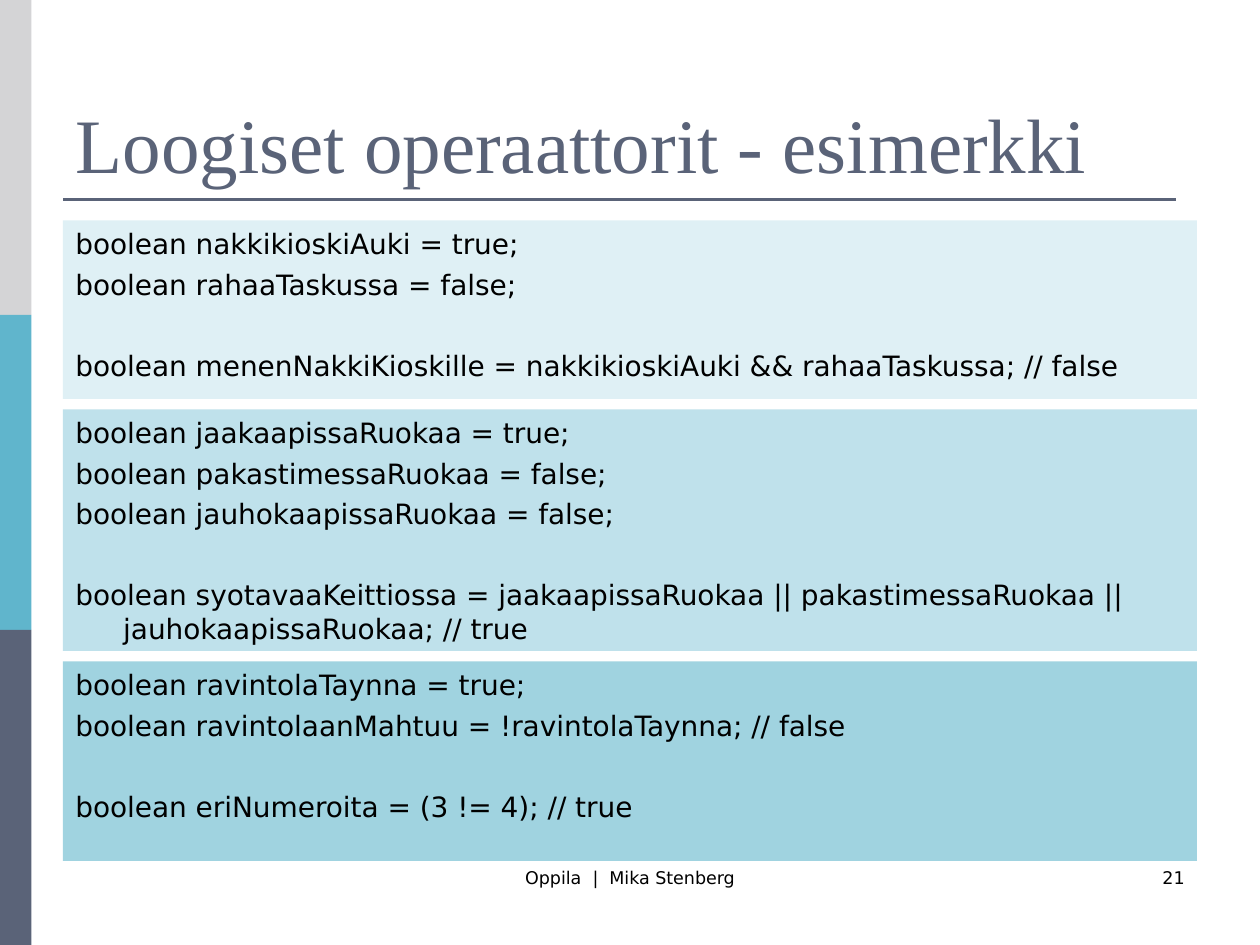
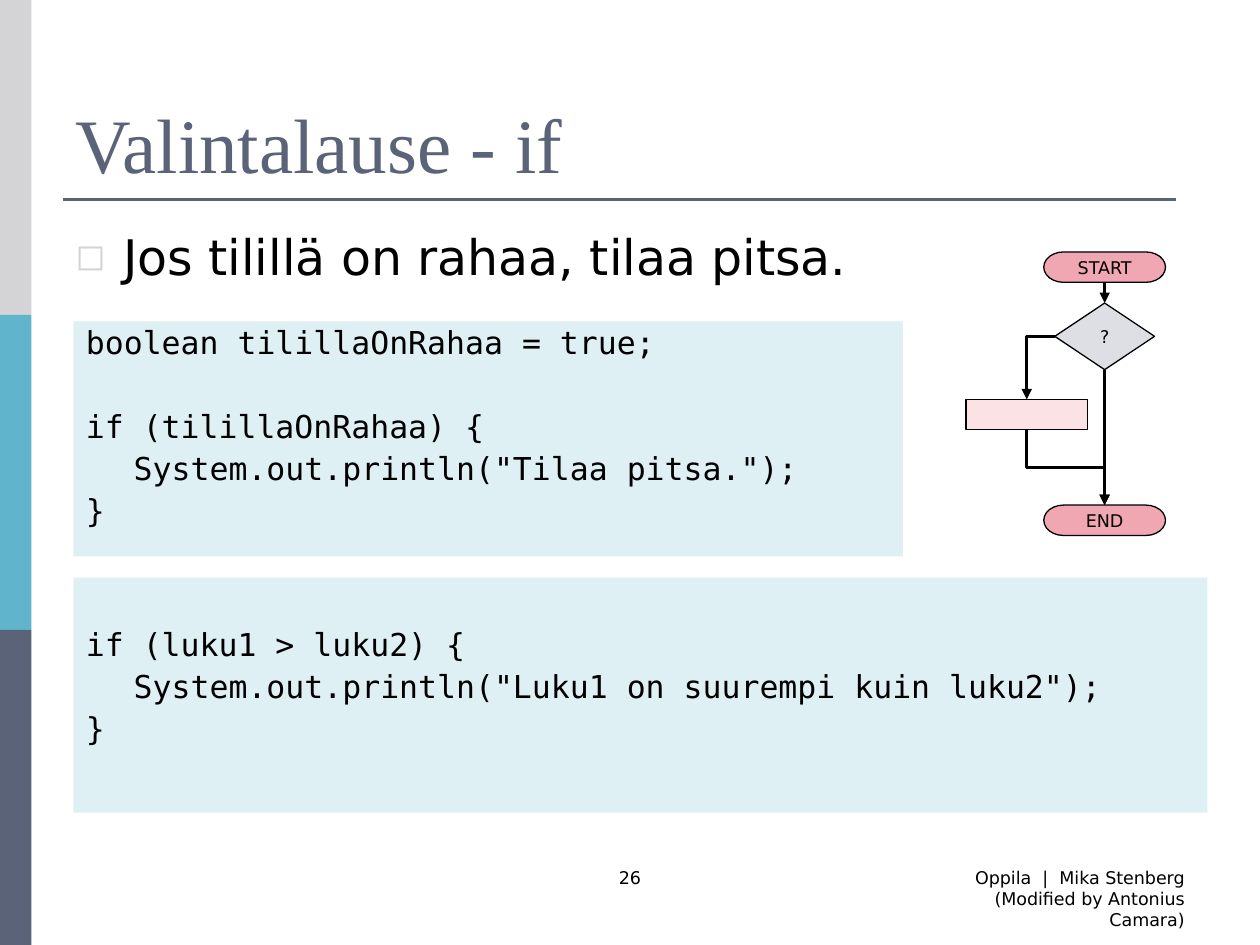
from lxml import etree
from pptx import Presentation
from pptx.dml.color import RGBColor
from pptx.enum.shapes import MSO_CONNECTOR, MSO_SHAPE
from pptx.enum.text import MSO_ANCHOR, PP_ALIGN
from pptx.oxml.ns import qn
from pptx.util import Emu, Inches, Pt

GREY = RGBColor(0xD4, 0xD4, 0xD6)
TEAL = RGBColor(0x60, 0xB5, 0xCC)
SLATE = RGBColor(0x5A, 0x63, 0x78)
BLACK = RGBColor(0x00, 0x00, 0x00)
PALE_TEAL = RGBColor(0xDF, 0xF0, 0xF5)
LIGHT_TEAL = RGBColor(0xBF, 0xE1, 0xEB)
SOFT_TEAL = RGBColor(0xA0, 0xD3, 0xE0)
PINK = RGBColor(0xF0, 0xA7, 0xB1)
PALE_PINK = RGBColor(0xFA, 0xE2, 0xE5)
PALE_SLATE = RGBColor(0xDD, 0xDF, 0xE5)

SANS, MONO, SERIF = "DejaVu Sans", "DejaVu Sans Mono", "Times New Roman"
LEFT, CENTER, RIGHT = PP_ALIGN.LEFT, PP_ALIGN.CENTER, PP_ALIGN.RIGHT
TOP, MIDDLE, BOTTOM = MSO_ANCHOR.TOP, MSO_ANCHOR.MIDDLE, MSO_ANCHOR.BOTTOM
RECTANGLE = MSO_SHAPE.RECTANGLE
TERMINATOR = MSO_SHAPE.FLOWCHART_TERMINATOR
PROCESS = MSO_SHAPE.FLOWCHART_PROCESS
DECISION = MSO_SHAPE.FLOWCHART_DECISION
STRAIGHT, ELBOW = MSO_CONNECTOR.STRAIGHT, MSO_CONNECTOR.ELBOW
SITE_TOP, SITE_BOTTOM = 0, 2

COLUMNS, ROWS = 120, 90
CELL = Inches(10) / COLUMNS
HANGING = Inches(0.38)
CENTER_FOOTER = (41, 82, 38, 6)
RIGHT_FOOTER = (86, 82, 28, 6)
AUTHOR = "Oppila  |  Mika Stenberg"


def grid(*cells):
    """Turn grid columns or rows into lengths."""
    return [Emu(round(cell * CELL)) for cell in cells]


def prepare_frame(shape, anchor=TOP, inset_top=0.05):
    frame = shape.text_frame
    frame.word_wrap = True
    frame.vertical_anchor = anchor
    frame.margin_left = frame.margin_right = Inches(0.1)
    frame.margin_top, frame.margin_bottom = Inches(inset_top), Inches(0.05)
    return frame


def write(paragraph, text, size=10, font=SANS, color=BLACK, align=LEFT,
          before=0, spacing=None, margin=0, indent=0):
    run = paragraph.add_run()
    run.text = text
    run.font.size, run.font.name = Pt(size), font
    run.font.color.rgb = color
    paragraph.alignment = align
    paragraph.space_before = Pt(before)
    if spacing:
        paragraph.line_spacing = spacing
    properties = paragraph._p.get_or_add_pPr()
    properties.set("marL", str(margin))
    properties.set("indent", str(indent))


def add_filled(slide, kind, box, fill, outline=None):
    shape = slide.shapes.add_shape(kind, *box)
    shape.shadow.inherit = False
    shape.fill.solid()
    shape.fill.fore_color.rgb = fill
    if outline is None:
        shape.line.fill.background()
    else:
        shape.line.color.rgb = outline
        shape.line.width = Pt(0.75)
    return shape


def add_line(slide, kind, start, end, color=BLACK, arrow=False):
    connector = slide.shapes.add_connector(kind, *start, *end)
    connector.line.color.rgb = color
    connector.line.width = Pt(1.5)
    properties = connector.element.spPr
    if arrow:
        line = properties.find(qn("a:ln"))
        etree.SubElement(line, qn("a:tailEnd"), type="triangle")
    etree.SubElement(properties, qn("a:effectLst"))
    return connector


def add_text_box(slide, box, text, **text_format):
    shape = slide.shapes.add_textbox(*grid(*box))
    paragraph = prepare_frame(shape).paragraphs[0]
    write(paragraph, text, **text_format)
    return paragraph


def add_base_slide(presentation, title):
    """Add a slide with the side bands, the title and its rule."""
    slide = presentation.slides.add_slide(presentation.slide_layouts[5])
    band_height = ROWS / 3
    for index, color in enumerate((GREY, TEAL, SLATE)):
        add_filled(slide, RECTANGLE,
                   grid(0, index * band_height, 3, band_height), color)
    add_line(slide, STRAIGHT, grid(6, 19), grid(112, 19), SLATE)
    shape = slide.shapes.title
    shape.left, shape.top, shape.width, shape.height = grid(6, 3.6, 108, 15)
    paragraph = prepare_frame(shape, BOTTOM).paragraphs[0]
    write(paragraph, title, size=44, font=SERIF, color=SLATE)
    return slide


def add_code_panel(slide, box, fill, blocks, gap, before, inset_top=0.05,
                   **text_format):
    """Write blocks of code lines, with a gap in points between blocks.

    A line that starts with a tab is indented by one level.
    """
    panel = add_filled(slide, RECTANGLE, grid(*box), fill)
    frame = prepare_frame(panel, inset_top=inset_top)
    paragraph = frame.paragraphs[0]
    for block_index, block in enumerate(blocks):
        for line_index, line in enumerate(block):
            starts_block = block_index > 0 and line_index == 0
            if block_index or line_index:
                paragraph = frame.add_paragraph()
            write(paragraph, line.lstrip("\t"), margin=HANGING,
                  indent=0 if line.startswith("\t") else -HANGING,
                  before=before + gap * starts_block, **text_format)


def add_bullet(slide, box, text):
    paragraph = add_text_box(slide, box, text, size=28, before=7,
                             margin=HANGING, indent=-HANGING)
    properties = paragraph._p.get_or_add_pPr()
    bullet_color = etree.SubElement(properties, qn("a:buClr"))
    etree.SubElement(bullet_color, qn("a:srgbClr"), val=str(GREY))
    etree.SubElement(properties, qn("a:buSzPct"), val="75000")
    etree.SubElement(properties, qn("a:buFont"), typeface=SANS)
    etree.SubElement(properties, qn("a:buChar"), char="◻")


def bottom_middle(shape):
    return shape.left + shape.width // 2, shape.top + shape.height


def top_middle(shape):
    return shape.left + shape.width // 2, shape.top


def join_down(slide, upper, lower):
    connector = add_line(slide, STRAIGHT, bottom_middle(upper),
                         top_middle(lower), arrow=True)
    connector.begin_connect(upper, SITE_BOTTOM)
    connector.end_connect(lower, SITE_TOP)


def add_corner_arrow(slide, start, end):
    """Draw an arrow that runs sideways, then down."""
    connector = add_line(slide, ELBOW, start, end, arrow=True)
    geometry = connector.element.spPr.find(qn("a:prstGeom"))
    geometry.set("prst", "bentConnector2")


def add_step_arrow(slide, start, end):
    """Draw an arrow that runs down, sideways to the right, then down."""
    connector = add_line(slide, ELBOW, start, end, arrow=True)
    across, down = end[0] - start[0], end[1] - start[1]
    connector.left = Emu((start[0] + end[0] - down) // 2)
    connector.top = Emu((start[1] + end[1] - across) // 2)
    connector.width, connector.height = Emu(down), Emu(across)
    transform = connector.element.spPr.find(qn("a:xfrm"))
    transform.set("rot", str(270 * 60000))
    transform.set("flipH", "1")


def add_flowchart(slide, box):
    left, top, width, height = grid(*box)
    node_width, node_height = 0.61, 0.107
    main_axis = 1 - node_width / 2

    def add_node(kind, axis, node_top, fill, text="",
                 share_width=node_width, share_height=node_height):
        node_box = (left + round((axis - share_width / 2) * width),
                    top + round(node_top * height),
                    round(share_width * width), round(share_height * height))
        node = add_filled(slide, kind, node_box, fill, BLACK)
        if text:
            write(prepare_frame(node, MIDDLE).paragraphs[0], text,
                  align=CENTER)
        return node

    start = add_node(TERMINATOR, main_axis, 0, PINK, "START")
    end = add_node(TERMINATOR, main_axis, 1 - node_height, PINK, "END")
    action = add_node(PROCESS, node_width / 2, 0.52, PALE_PINK)
    question = add_node(DECISION, main_axis, 0.18, PALE_SLATE, "?", 0.5, 0.235)
    join_down(slide, start, question)
    join_down(slide, question, end)
    question_left = question.left, question.top + question.height // 2
    add_corner_arrow(slide, question_left, top_middle(action))
    add_step_arrow(slide, bottom_middle(action), top_middle(end))


def build_operators_slide(presentation):
    slide = add_base_slide(presentation, "Loogiset operaattorit - esimerkki")
    add_text_box(slide, CENTER_FOOTER, AUTHOR, align=CENTER)
    add_text_box(slide, RIGHT_FOOTER, "21", align=RIGHT)
    panels = [
        (17, PALE_TEAL, [
            ["boolean nakkikioskiAuki = true;",
             "boolean rahaaTaskussa = false;"],
            ["boolean menenNakkiKioskille = nakkikioskiAuki && "
             "rahaaTaskussa; // false"]]),
        (23, LIGHT_TEAL, [
            ["boolean jaakaapissaRuokaa = true;",
             "boolean pakastimessaRuokaa = false;",
             "boolean jauhokaapissaRuokaa = false;"],
            ["boolean syotavaaKeittiossa = jaakaapissaRuokaa || "
             "pakastimessaRuokaa || jauhokaapissaRuokaa; // true"]]),
        (19, SOFT_TEAL, [
            ["boolean ravintolaTaynna = true;",
             "boolean ravintolaanMahtuu = !ravintolaTaynna; // false"],
            ["boolean eriNumeroita = (3 != 4); // true"]]),
    ]
    top = 21
    for height, fill, blocks in panels:
        add_code_panel(slide, (6, top, 108, height), fill, blocks,
                       gap=23, before=4, size=16)
        top += height + 1


def build_if_slide(presentation):
    slide = add_base_slide(presentation, "Valintalause - if")
    add_text_box(slide, CENTER_FOOTER, "26", align=CENTER)
    add_text_box(slide, RIGHT_FOOTER,
                 AUTHOR + " (Modified by Antonius Camara)", align=RIGHT)
    add_bullet(slide, (6, 21, 108, 10), "Jos tilillä on rahaa, tilaa pitsa.")
    code_format = dict(gap=24, before=4.5, size=18, font=MONO, spacing=0.9)
    add_code_panel(slide, (7, 30.6, 79, 22.4), PALE_TEAL, [
        ["boolean tilillaOnRahaa = true;"],
        ["if (tilillaOnRahaa) {",
         "\tSystem.out.println(\"Tilaa pitsa.\");",
         "}"]], **code_format)
    add_code_panel(slide, (7, 55, 108, 22.4), PALE_TEAL, [
        ["if (luku1 > luku2) {",
         "\tSystem.out.println(\"Luku1 on suurempi kuin luku2\");",
         "}"]], inset_top=0.41, **code_format)
    add_flowchart(slide, (92, 24, 19, 27))


def main():
    presentation = Presentation()
    presentation.slide_width, presentation.slide_height = grid(COLUMNS, ROWS)
    build_operators_slide(presentation)
    build_if_slide(presentation)
    presentation.save("out.pptx")


if __name__ == "__main__":
    main()
